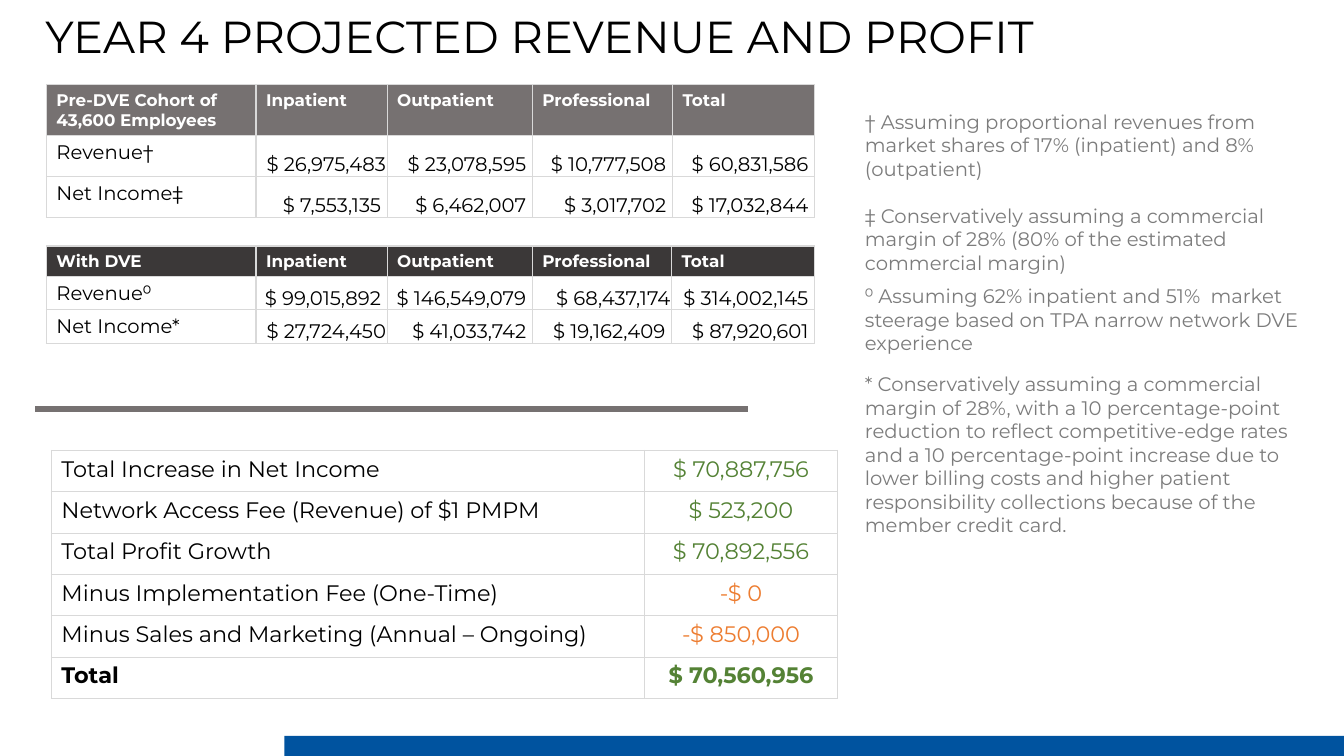
from dataclasses import dataclass

from lxml import etree
from pptx import Presentation
from pptx.dml.color import RGBColor
from pptx.enum.shapes import MSO_CONNECTOR, MSO_SHAPE
from pptx.enum.text import MSO_ANCHOR, MSO_AUTO_SIZE, PP_ALIGN
from pptx.oxml.ns import qn
from pptx.slide import Slide
from pptx.table import Table, _Cell
from pptx.text.text import TextFrame
from pptx.util import Inches, Pt

LEFT, CENTER, RIGHT = PP_ALIGN.LEFT, PP_ALIGN.CENTER, PP_ALIGN.RIGHT
TOP, BOTTOM = MSO_ANCHOR.TOP, MSO_ANCHOR.BOTTOM

FONT = "Montserrat"
BLACK = RGBColor(0x00, 0x00, 0x00)
WHITE = RGBColor(0xFF, 0xFF, 0xFF)
GRAY = RGBColor(0x76, 0x71, 0x71)
CHARCOAL = RGBColor(0x3B, 0x38, 0x38)
NOTE_GRAY = RGBColor(0x7C, 0x7C, 0x7C)
BORDER = RGBColor(0xD9, 0xD9, 0xD9)
GREEN = RGBColor(0x54, 0x82, 0x35)
ORANGE = RGBColor(0xED, 0x7D, 0x31)
BLUE = RGBColor(0x00, 0x53, 0x9F)


@dataclass(frozen=True)
class Cohort:
    top: float
    col_widths: tuple[float, ...]
    row_heights: tuple[float, ...]
    header_fill: RGBColor
    rows: tuple[tuple[str, ...], ...]


@dataclass(frozen=True)
class ProfitLine:
    label: str
    amount: str
    color: RGBColor = GREEN
    bold: bool = False


@dataclass(frozen=True)
class Footnote:
    top: float
    height: float
    text: str


COHORTS = (
    Cohort(0.84, (2.08, 1.3, 1.44, 1.39, 1.41), (0.41, 0.41, 0.41), GRAY, (
        ("Pre-DVE Cohort of 43,600 Employees", "Inpatient", "Outpatient", "Professional", "Total"),
        ("Revenue†", "$ 26,975,483", "$ 23,078,595", "$ 10,777,508", "$ 60,831,586"),
        ("Net Income‡", "$ 7,553,135", "$ 6,462,007", "$ 3,017,702", "$ 17,032,844"),
    )),
    Cohort(2.44, (2.08, 1.3, 1.44, 1.38, 1.42), (0.3, 0.33, 0.3), CHARCOAL, (
        ("With DVE", "Inpatient", "Outpatient", "Professional", "Total"),
        ("Revenue⁰", "$ 99,015,892", "$ 146,549,079", "$ 68,437,174", "$ 314,002,145"),
        ("Net Income*", "$ 27,724,450", "$ 41,033,742", "$ 19,162,409", "$ 87,920,601"),
    )),
)
FLUSH_AMOUNTS = {"$ 26,975,483", "$ 68,437,174", "$ 27,724,450"}

PROFIT_LINES = (
    ProfitLine("Total Increase in Net Income", "$ 70,887,756"),
    ProfitLine("Network Access Fee (Revenue) of $1 PMPM", "$ 523,200"),
    ProfitLine("Total Profit Growth", "$ 70,892,556"),
    ProfitLine("Minus Implementation Fee (One-Time)", "-$ 0", ORANGE),
    ProfitLine("Minus Sales and Marketing (Annual – Ongoing)", "-$ 850,000", ORANGE),
    ProfitLine("Total", "$ 70,560,956", bold=True),
)

FOOTNOTES = (
    Footnote(1.04, 0.81, "† Assuming proportional revenues from market shares of 17% (inpatient) "
             "and 8% (outpatient)"),
    Footnote(1.97, 0.81, "‡ Conservatively assuming a commercial margin of 28% (80% of the "
             "estimated commercial margin)"),
    Footnote(2.77, 0.81, "⁰ Assuming 62% inpatient and 51%  market steerage based on TPA narrow "
             "network DVE experience"),
    Footnote(3.64, 1.75, "* Conservatively assuming a commercial margin of 28%, with a 10 "
             "percentage-point reduction to reflect competitive-edge rates and a 10 "
             "percentage-point increase due to lower billing costs and higher patient "
             "responsibility collections because of the member credit card."),
)


def write(frame: TextFrame, text: str, *, size: float, color: RGBColor = BLACK,
          bold: bool = False, align: PP_ALIGN = LEFT) -> None:
    frame.word_wrap = True
    paragraph = frame.paragraphs[0]
    paragraph.alignment = align
    run = paragraph.add_run()
    run.text = text
    run.font.name = FONT
    run.font.size = Pt(size)
    run.font.bold = bold
    run.font.color.rgb = color


def add_borders(cell: _Cell) -> None:
    properties = cell._tc.get_or_add_tcPr()
    for side in ("a:lnL", "a:lnR", "a:lnT", "a:lnB"):
        line = etree.SubElement(properties, qn(side), w=str(Pt(1)))
        fill = etree.SubElement(line, qn("a:solidFill"))
        etree.SubElement(fill, qn("a:srgbClr"), val=str(BORDER))


def add_grid(slide: Slide, left: float, top: float, col_widths: tuple[float, ...],
             row_heights: tuple[float, ...]) -> Table:
    table = slide.shapes.add_table(
        len(row_heights), len(col_widths), Inches(left), Inches(top),
        Inches(sum(col_widths)), Inches(sum(row_heights))).table
    table.first_row = False
    table.horz_banding = False
    for column, width in zip(table.columns, col_widths):
        column.width = Inches(width)
    for row, height in zip(table.rows, row_heights):
        row.height = Inches(height)
    for cell in table.iter_cells():
        add_borders(cell)
        cell.fill.background()
    return table


def add_cohort(slide: Slide, cohort: Cohort) -> None:
    table = add_grid(slide, 0.46, cohort.top, cohort.col_widths, cohort.row_heights)
    for r, row in enumerate(cohort.rows):
        for c, text in enumerate(row):
            cell = table.cell(r, c)
            if r == 0:
                cell.fill.solid()
                cell.fill.fore_color.rgb = cohort.header_fill
                write(cell.text_frame, text, size=12, color=WHITE, bold=True)
            elif c == 0:
                write(cell.text_frame, text, size=14)
            else:
                cell.vertical_anchor = BOTTOM
                cell.margin_left = cell.margin_top = Inches(0.01)
                cell.margin_right = Inches(0.01 if text in FLUSH_AMOUNTS else 0.06)
                cell.margin_bottom = 0
                write(cell.text_frame, text, size=14, align=RIGHT)


def add_profit_table(slide: Slide) -> None:
    table = add_grid(slide, 0.51, 4.47, (5.88, 1.92), (0.41,) * len(PROFIT_LINES))
    for r, line in enumerate(PROFIT_LINES):
        write(table.cell(r, 0).text_frame, line.label, size=16, bold=line.bold)
        write(table.cell(r, 1).text_frame, line.amount, size=16, color=line.color,
              bold=line.bold, align=CENTER)


def add_title(slide: Slide) -> None:
    title = slide.shapes.title
    title.left, title.top = Inches(0.35), Inches(0.04)
    title.width, title.height = Inches(11.25), Inches(0.64)
    title.text_frame.vertical_anchor = TOP
    title.text_frame.auto_size = MSO_AUTO_SIZE.SHAPE_TO_FIT_TEXT
    write(title.text_frame, "YEAR 4 PROJECTED REVENUE AND PROFIT", size=32)


def add_divider(slide: Slide) -> None:
    divider = slide.shapes.add_connector(
        MSO_CONNECTOR.STRAIGHT, Inches(0.35), Inches(4.06), Inches(7.42), Inches(4.06))
    divider.line.color.rgb = GRAY
    divider.line.width = Pt(4.5)
    etree.SubElement(divider._element.spPr, qn("a:effectLst"))


def add_footer_bar(slide: Slide) -> None:
    bar = slide.shapes.add_shape(
        MSO_SHAPE.RECTANGLE, Inches(2.82), Inches(7.3), Inches(10.51), Inches(0.2))
    bar.shadow.inherit = False
    bar.fill.solid()
    bar.fill.fore_color.rgb = BLUE
    bar.line.fill.background()


def add_footnote(slide: Slide, note: Footnote) -> None:
    box = slide.shapes.add_textbox(
        Inches(8.48), Inches(note.top), Inches(4.72), Inches(note.height))
    box.text_frame.auto_size = MSO_AUTO_SIZE.SHAPE_TO_FIT_TEXT
    write(box.text_frame, note.text, size=14, color=NOTE_GRAY)


def main() -> None:
    deck = Presentation()
    deck.slide_width, deck.slide_height = Inches(13.33), Inches(7.5)
    slide = deck.slides.add_slide(deck.slide_layouts[5])
    add_title(slide)
    for cohort in COHORTS:
        add_cohort(slide, cohort)
    add_divider(slide)
    add_profit_table(slide)
    add_footer_bar(slide)
    for note in FOOTNOTES:
        add_footnote(slide, note)
    deck.save("out.pptx")


if __name__ == "__main__":
    main()
